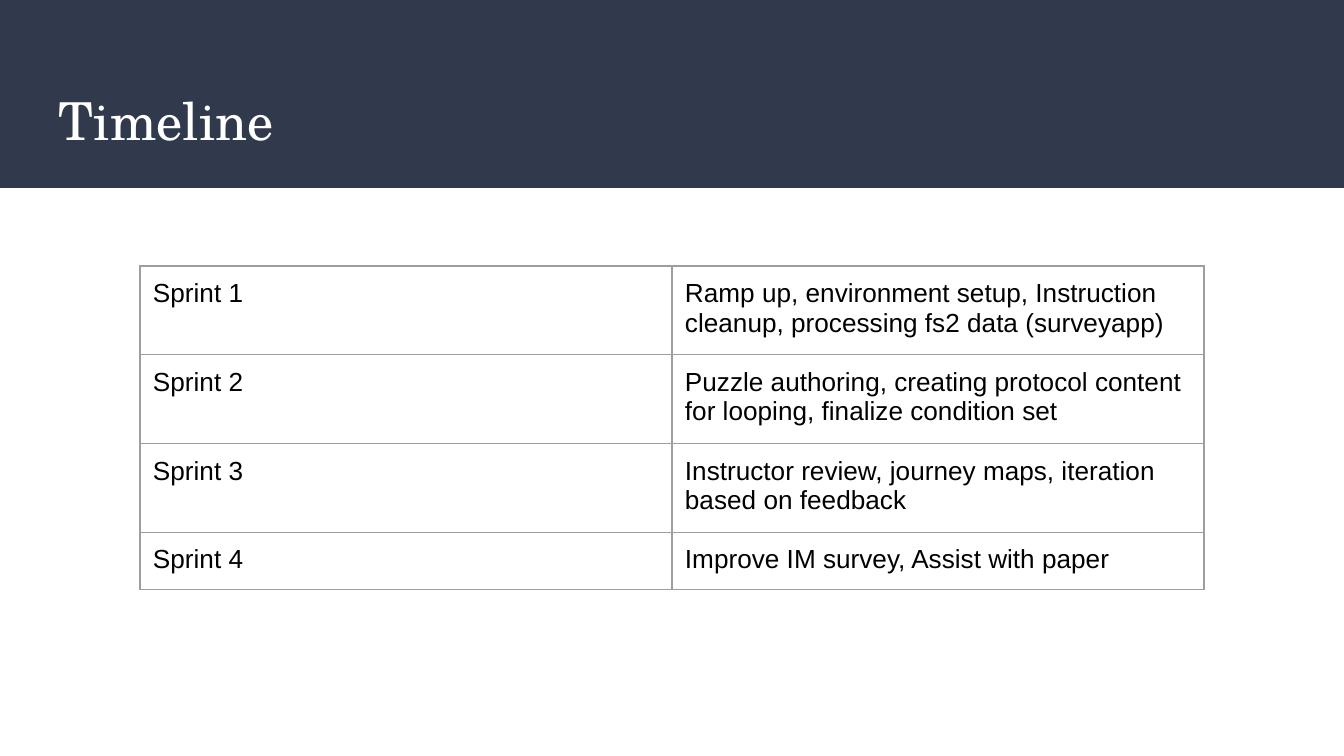
from lxml.etree import SubElement
from pptx import Presentation
from pptx.dml.color import RGBColor
from pptx.enum.shapes import MSO_SHAPE
from pptx.enum.text import MSO_ANCHOR
from pptx.oxml.ns import qn
from pptx.util import Pt

# Content
TITLE = "Timeline"
SPRINTS = [
    ("Sprint 1", "Ramp up, environment setup, Instruction cleanup, "
                 "processing fs2 data (surveyapp)"),
    ("Sprint 2", "Puzzle authoring, creating protocol content for looping, "
                 "finalize condition set"),
    ("Sprint 3", "Instructor review, journey maps, iteration based on feedback"),
    ("Sprint 4", "Improve IM survey, Assist with paper"),
]

COLORS = {"band": "31394D", "title": "FFFFFF", "text": "000000", "grid": "9E9E9E"}
WIDE, HIGH = 1344, 756
BAND = 188
PAD = 13
COL, ROW = 532, 56
TOP = 266


def px(n):
    return round(n * 914400 / 134.4)


def color(name):
    return RGBColor.from_string(COLORS[name])


def write(frame, text, size, font, tint):
    frame.word_wrap = True
    run = frame.paragraphs[0].add_run()
    run.text = text
    run.font.size = Pt(size)
    run.font.name = font
    run.font.color.rgb = color(tint)


def pad(box):
    box.margin_left = box.margin_right = px(PAD)
    box.margin_top = box.margin_bottom = px(PAD)


def border(cell):
    props = cell._tc.get_or_add_tcPr()
    for side in ("a:lnL", "a:lnR", "a:lnT", "a:lnB"):
        line = SubElement(props, qn(side), w=str(Pt(0.75)))
        fill = SubElement(line, qn("a:solidFill"))
        SubElement(fill, qn("a:srgbClr"), val=COLORS["grid"])


deck = Presentation()
deck.slide_width, deck.slide_height = px(WIDE), px(HIGH)
slide = deck.slides.add_slide(deck.slide_layouts[6])

# Header band
band = slide.shapes.add_shape(MSO_SHAPE.RECTANGLE, 0, 0, px(WIDE), px(BAND))
band.shadow.inherit = False
band.fill.solid()
band.fill.fore_color.rgb = color("band")
band.line.fill.background()

# Title
title = slide.shapes.add_textbox(px(46), px(74), px(WIDE - 2 * 46), px(91)).text_frame
pad(title)
title.vertical_anchor = MSO_ANCHOR.MIDDLE
write(title, TITLE, 28, "TeX Gyre Schola", "title")

# Sprint table, centred; rows grow with their text
left = (WIDE - 2 * COL) // 2
table = slide.shapes.add_table(len(SPRINTS), 2, px(left), px(TOP),
                               px(2 * COL), px(ROW * len(SPRINTS))).table
table.first_row = table.horz_banding = False
for col in table.columns:
    col.width = px(COL)
for row, texts in zip(table.rows, SPRINTS):
    row.height = px(ROW)
    for cell, text in zip(row.cells, texts):
        pad(cell)
        border(cell)
        cell.fill.background()
        write(cell.text_frame, text, 14, "Arial", "text")

deck.save("out.pptx")
